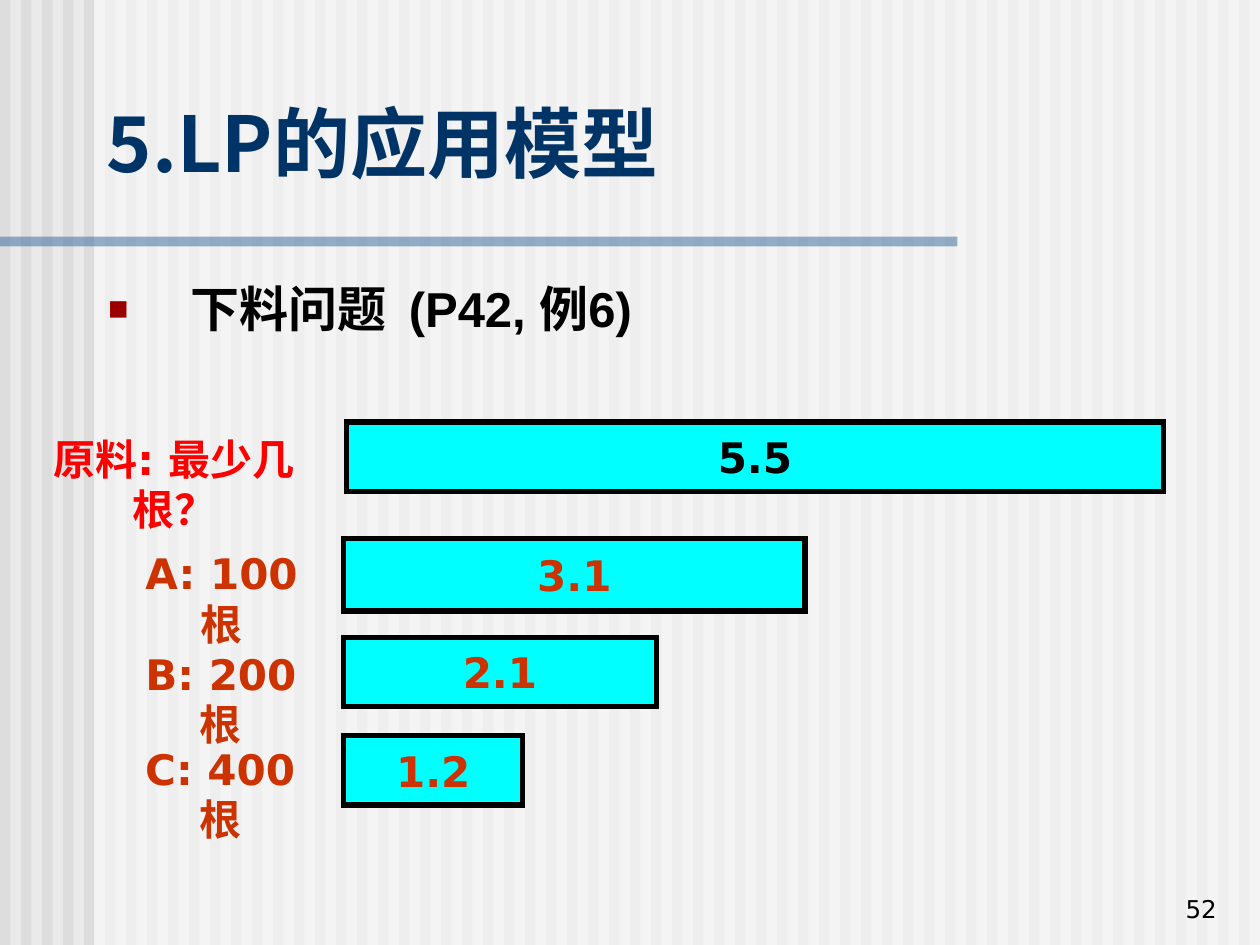
import pptx
import pptx.dml.color
import pptx.enum.shapes
import pptx.enum.text
import pptx.oxml
import pptx.oxml.ns
import pptx.util
from lxml import etree

Cm = pptx.util.Cm
Pt = pptx.util.Pt
RGBColor = pptx.dml.color.RGBColor
ALIGN = pptx.enum.text.PP_ALIGN
ANCHOR = pptx.enum.text.MSO_ANCHOR
qn = pptx.oxml.ns.qn

PAPER = RGBColor(0xEA, 0xEA, 0xEA)
STRIPE = RGBColor(0xDD, 0xDD, 0xDD)
WHITE = RGBColor(0xFF, 0xFF, 0xFF)
BLACK = RGBColor(0x00, 0x00, 0x00)
STEEL = RGBColor(0x33, 0x66, 0x99)
NAVY = RGBColor(0x00, 0x33, 0x66)
CYAN = RGBColor(0x00, 0xFF, 0xFF)
RUST = RGBColor(0xCC, 0x33, 0x00)
RED = RGBColor(0xFF, 0x00, 0x00)

SANS = "DejaVu Sans"
CHINESE = "Noto Sans CJK SC"


def add_block(page, box, color, alpha=None):
    """Add a plain rectangle without outline, optionally see-through."""
    block = page.shapes.add_shape(
        pptx.enum.shapes.MSO_SHAPE.RECTANGLE, *[Cm(length) for length in box]
    )
    block.shadow.inherit = False
    block.fill.solid()
    block.fill.fore_color.rgb = color
    block.line.fill.background()
    if alpha is not None:
        tint = block.fill._xPr.find(".//" + qn("a:srgbClr"))
        etree.SubElement(tint, qn("a:alpha"), val=str(alpha * 1000))
    return block


def write(shape, text, size, color, font=SANS, bold=True,
          align=ALIGN.CENTER, anchor=ANCHOR.TOP):
    """Write one paragraph, without hanging punctuation, and return it."""
    frame = shape.text_frame
    frame.word_wrap = True
    frame.vertical_anchor = anchor
    para = frame.paragraphs[0]
    para.alignment = align
    para._p.get_or_add_pPr().set("hangingPunct", "0")
    span = para.add_run()
    span.text = text
    span.font.size = Pt(size)
    span.font.bold = bold
    span.font.name = font
    span.font.color.rgb = color
    etree.SubElement(span.font._element, qn("a:ea"), typeface=CHINESE)
    return para


def add_text(page, box, text, size, color, **style):
    """Add a text box holding one paragraph."""
    holder = page.shapes.add_textbox(*[Cm(length) for length in box])
    return write(holder, text, size, color, **style)


def add_backdrop(page, box):
    """Draw the striped paper, its pale veil and the rule under the title."""
    left, top, width, height = box
    page.background.fill.solid()
    page.background.fill.fore_color.rgb = PAPER
    count = 60
    pitch = width / count
    for index in range(count):
        add_block(page, (left + index * pitch, top, pitch / 2, height), STRIPE)
    add_block(page, (left + 1.9, top, width - 1.9, height), WHITE, 50)
    add_block(page, (left, top + 4.77, 19.3, 0.2), STEEL, 50)


def add_title(page, box):
    """Write the slide title."""
    add_text(page, box, "5.LP的应用模型", 44, NAVY, font=CHINESE,
             align=ALIGN.LEFT, anchor=ANCHOR.MIDDLE)


def add_topic(page, box):
    """Write the topic line with its square bullet."""
    para = add_text(page, box, "下料问题  (P42, 例6)", 28, BLACK,
                    font="Arial", align=ALIGN.JUSTIFY)
    para.space_before = Pt(7)
    props = para._p.get_or_add_pPr()
    props.set("marL", str(Cm(1.7)))
    props.set("indent", str(Cm(-1.7)))
    tint = etree.SubElement(props, qn("a:buClr"))
    etree.SubElement(tint, qn("a:srgbClr"), val="9A0000")
    etree.SubElement(props, qn("a:buSzPct"), val="135000")
    etree.SubElement(props, qn("a:buFont"), typeface="Arial")
    etree.SubElement(props, qn("a:buChar"), char="▪")


def add_bar(page, box, length, color):
    """Draw one sharp-cornered outlined bar marked with its length."""
    bar = add_block(page, box, CYAN)
    bar.line.color.rgb = BLACK
    bar.line.width = Pt(3)
    outline = bar.line._get_or_add_ln()
    etree.SubElement(outline, qn("a:miter"), lim="800000")
    write(bar, length, 24, color, anchor=ANCHOR.MIDDLE)


def add_cutting_plan(page, box):
    """Draw the raw bar and the three cut pieces with their labels."""
    left, top = box[:2]
    bars = [
        ("5.5", BLACK, 6.98, 0, 16.48, 1.4),
        ("3.1", RUST, 6.93, 2.34, 9.3, 1.47),
        ("2.1", RUST, 6.93, 4.34, 6.3, 1.4),
        ("1.2", RUST, 6.93, 6.32, 3.61, 1.4),
    ]
    labels = [
        ("原料: 最少几根？", RED, 0.26, 0.1, 6.5),
        ("A: 100根", RUST, 2.44, 2.41, 4.06),
        ("B: 200根", RUST, 2.41, 4.44, 4.09),
        ("C: 400根", RUST, 2.41, 6.35, 4.06),
    ]
    for length, color, x, y, width, height in bars:
        add_bar(page, (left + x, top + y, width, height), length, color)
    for text, color, x, y, width in labels:
        add_text(page, (left + x, top + y, width, 1.27), text, 24, color)


def add_page_number(page, box):
    """Write the page number in the corner."""
    add_text(page, box, "52", 14, BLACK, bold=False,
             align=ALIGN.RIGHT, anchor=ANCHOR.BOTTOM)


def main():
    """Build the slide and save the deck."""
    deck = pptx.Presentation()
    deck.slide_width = Cm(25.4)
    deck.slide_height = Cm(19.05)
    page = deck.slides.add_slide(deck.slide_layouts[6])
    add_backdrop(page, (0, 0, 25.4, 19.05))
    add_title(page, (1.9, 1.27, 21.59, 3.18))
    add_topic(page, (1.9, 5.49, 21.59, 11.43))
    add_cutting_plan(page, (0, 8.51, 25.4, 7.72))
    add_page_number(page, (19.5, 17.48, 5.28, 1.27))
    deck.save("out.pptx")


if __name__ == "__main__":
    main()
